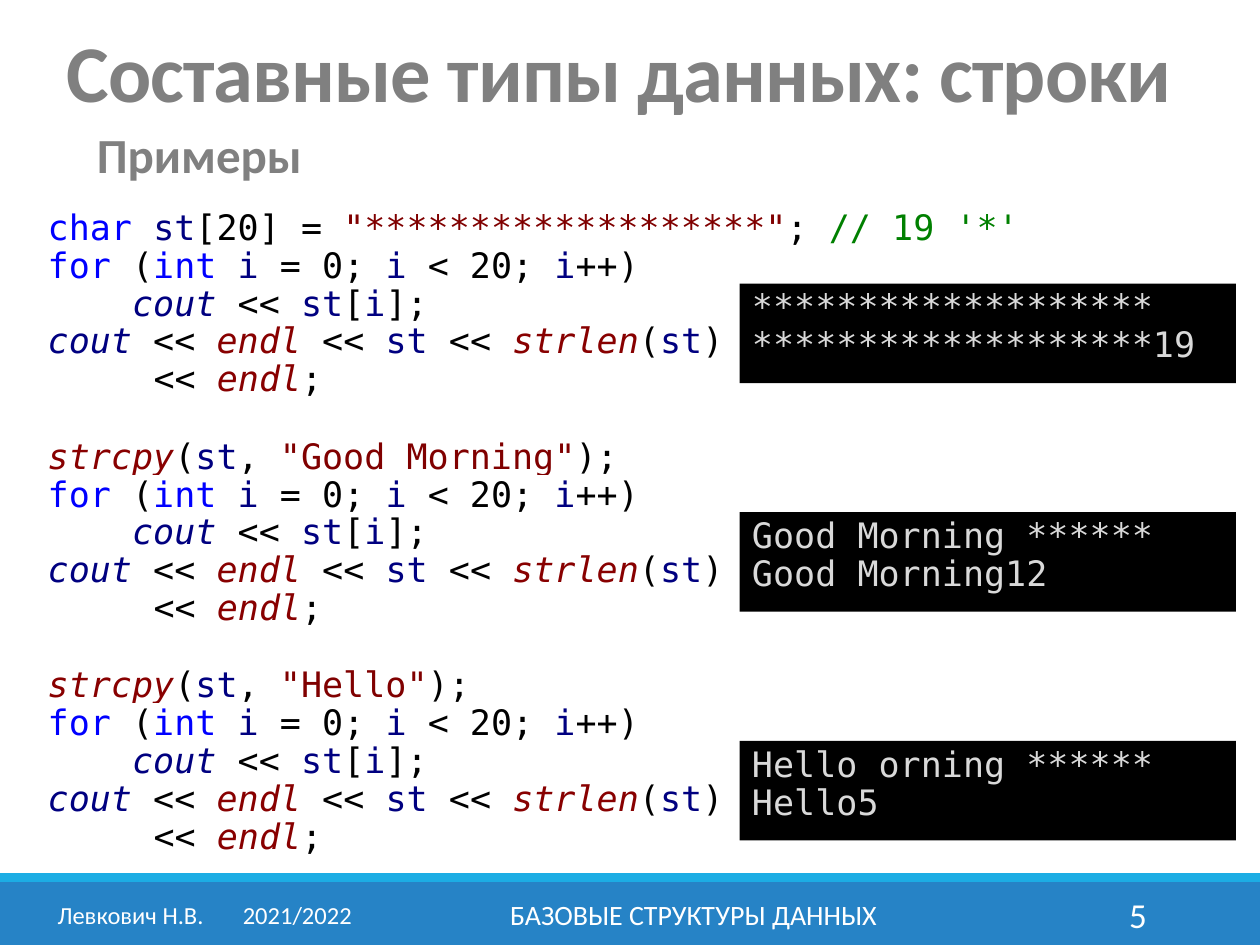
from lxml.etree import SubElement
from pptx import Presentation
from pptx.dml.color import RGBColor
from pptx.enum.shapes import MSO_SHAPE
from pptx.enum.text import MSO_ANCHOR, PP_ALIGN
from pptx.oxml.ns import qn
from pptx.util import Inches, Pt

SANS, MONO = "Calibri", "DejaVu Sans Mono"
WHITE, GREY = "FFFFFF", "808080"

# Code styles: colour, italic
STYLES = {
    "plain": ("000000", False),
    "keyword": ("0000FF", False),
    "name": ("000080", False),
    "stream": ("000080", True),
    "func": ("880000", True),
    "string": ("800000", False),
    "comment": ("008000", False),
}

# Each code line: left indent in inches, then (text, style) pieces
LOOP = [
    (0, [("for", "keyword"), (" (", "plain"), ("int", "keyword"), (" ", "plain"),
         ("i", "name"), (" = 0; ", "plain"), ("i", "name"), (" < 20; ", "plain"),
         ("i", "name"), ("++)", "plain")]),
    (0.67, [("cout", "stream"), (" << ", "plain"), ("st", "name"), ("[", "plain"),
            ("i", "name"), ("];", "plain")]),
    (0, [("cout", "stream"), (" << ", "plain"), ("endl", "func"), (" << ", "plain"),
         ("st", "name"), (" << ", "plain"), ("strlen", "func"), ("(", "plain"),
         ("st", "name"), (")", "plain")]),
    (0.84, [("<< ", "plain"), ("endl", "func"), (";", "plain")]),
]


def strcpy_line(value):
    return [("strcpy", "func"), ("(", "plain"), ("st", "name"), (", ", "plain"),
            (f'"{value}"', "string"), (");", "plain")]


DECLARATION = [("char", "keyword"), (" ", "plain"), ("st", "name"), ("[20] = ", "plain"),
               ('"*******************"', "string"), ("; ", "plain"),
               ("// 19 '*'", "comment")]

# First code line and console output of each example
EXAMPLES = [
    (DECLARATION, ["*******************", "*******************19"]),
    (strcpy_line("Good Morning"), ["Good Morning ******", "Good Morning12"]),
    (strcpy_line("Hello"), ["Hello orning ******", "Hello5"]),
]
CODE_TOP, CONSOLE_TOP, EXAMPLE_STEP = 1.62, 2.25, 1.815

BARS = [((0, 7, 10, 0.5), "2683C6"), ((0, 6.93, 10, 0.07), "1CADE4")]

# Text, place, paragraph alignment, anchor, font
LABELS = [
    ("Составные типы данных: строки", (0.43, 0, 9.29, 0.99), PP_ALIGN.LEFT,
     MSO_ANCHOR.BOTTOM, dict(size=46, color=GREY, bold=True, spacing=-50), 0.85),
    ("Примеры", (0.67, 0.99, 9.06, 0.53), PP_ALIGN.LEFT,
     MSO_ANCHOR.TOP, dict(size=28, color=GREY, bold=True), 0.9),
    ("Левкович Н.В.\t2021/2022", (0.32, 7.06, 2.61, 0.4), PP_ALIGN.CENTER,
     MSO_ANCHOR.MIDDLE, dict(size=14, color=WHITE), 1),
    ("БАЗОВЫЕ СТРУКТУРЫ ДАННЫХ", (3.02, 7.06, 4.97, 0.4), PP_ALIGN.CENTER,
     MSO_ANCHOR.MIDDLE, dict(size=16, color=WHITE), 1),
    ("5", (8.12, 7.06, 1.08, 0.4), PP_ALIGN.RIGHT,
     MSO_ANCHOR.MIDDLE, dict(size=20, color=WHITE), 1),
]
FOOTER_TAB = 1.47


def rgb(color):
    return RGBColor.from_string(color)


def add_bar(s, place, color):
    sp = s.shapes.add_shape(MSO_SHAPE.RECTANGLE, *map(Inches, place))
    sp.shadow.inherit = False
    sp.fill.solid()
    sp.fill.fore_color.rgb = rgb(color)
    sp.line.fill.background()
    return sp


def add_text_frame(s, place, anchor=MSO_ANCHOR.TOP):
    tf = s.shapes.add_textbox(*map(Inches, place)).text_frame
    tf.word_wrap = True
    tf.vertical_anchor = anchor
    return tf


def add_run(p, text, size, color, name=SANS, spacing=None, **font):
    r = p.add_run()
    r.text = text
    for key, value in dict(font, size=Pt(size), name=name).items():
        setattr(r.font, key, value)
    r.font.color.rgb = rgb(color)
    if spacing:
        r.font._element.set("spc", str(spacing))
    return r


def highlight(r, color):
    mark = SubElement(r.font._element, qn("a:highlight"))
    SubElement(mark, qn("a:srgbClr"), val=color)
    r.font._element.find(qn("a:solidFill")).addnext(mark)


def add_tab(p, position):
    tabs = SubElement(p._p.get_or_add_pPr(), qn("a:tabLst"))
    SubElement(tabs, qn("a:tab"), pos=str(Inches(position)), algn="l")


def paragraphs(tf, lines):
    """Yield one paragraph of the frame with each line."""
    for n, line in enumerate(lines):
        p = tf.add_paragraph() if n else tf.paragraphs[0]
        p.line_spacing = 0.9
        p.alignment = PP_ALIGN.LEFT
        yield p, line


def add_code(s, top, first_line):
    tf = add_text_frame(s, (0.28, top, 9.45, 1.62))
    for p, (indent, pieces) in paragraphs(tf, [(0, first_line)] + LOOP):
        p._p.get_or_add_pPr().set("marL", str(Inches(indent)))
        for text, style in pieces:
            color, italic = STYLES[style]
            highlight(add_run(p, text, 20, color, MONO, italic=italic), WHITE)


def add_console(s, top, output):
    tf = add_bar(s, (5.87, top, 3.94, 0.79), "000000").text_frame
    tf.word_wrap = True
    tf.vertical_anchor = MSO_ANCHOR.TOP
    for p, text in paragraphs(tf, output):
        add_run(p, text, 20, "D9D9D9", MONO)


def main():
    prs = Presentation()
    prs.slide_width, prs.slide_height = Inches(10), Inches(7.5)
    s = prs.slides.add_slide(prs.slide_layouts[6])

    for place, color in BARS:
        add_bar(s, place, color)
    for text, place, align, anchor, font, line_spacing in LABELS:
        p = add_text_frame(s, place, anchor).paragraphs[0]
        p.alignment, p.line_spacing = align, line_spacing
        if "\t" in text:
            add_tab(p, FOOTER_TAB)
        add_run(p, text, **font)
    for n, (first_line, _) in enumerate(EXAMPLES):
        add_code(s, CODE_TOP + n * EXAMPLE_STEP, first_line)
    for n, (_, output) in enumerate(EXAMPLES):
        add_console(s, CONSOLE_TOP + n * EXAMPLE_STEP, output)

    prs.save("out.pptx")


if __name__ == "__main__":
    main()
